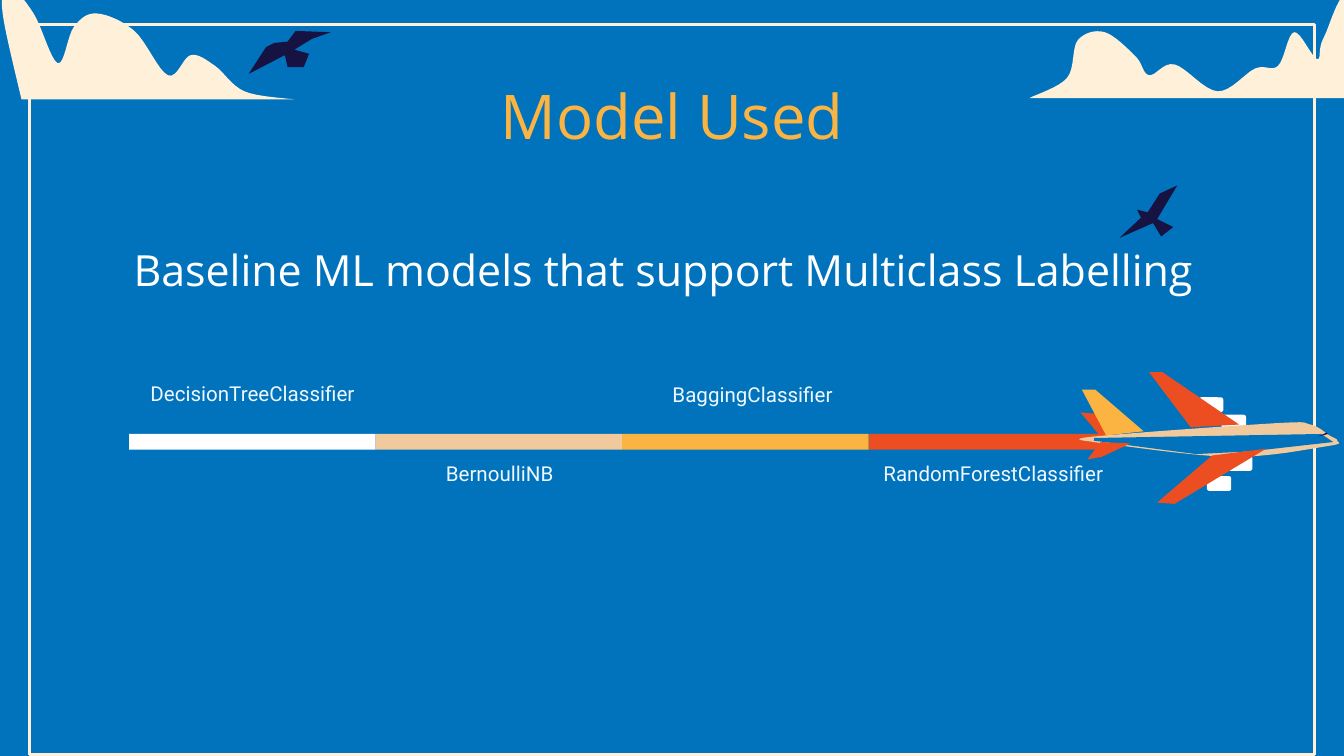
from math import cos, radians, sin

from pptx import Presentation
from pptx.dml.color import RGBColor
from pptx.enum.shapes import MSO_SHAPE
from pptx.enum.text import MSO_ANCHOR, PP_ALIGN
from pptx.util import Cm, Pt

RECTANGLE = MSO_SHAPE.RECTANGLE
ROUNDED = MSO_SHAPE.ROUNDED_RECTANGLE
MIDDLE = MSO_ANCHOR.MIDDLE
CENTER = PP_ALIGN.CENTER

COLORS = {
    "sky": "0173BC", "cream": "FFF1D9", "navy": "161342", "amber": "FBB442",
    "white": "FFFFFF", "sand": "F0C99C", "red": "EC4E21", "pale": "EFF8FF",
}
CM_PER_UNIT = 2.54
CURVE_STEPS = 8
PLANE_TILT = 14.7
BAR_LEFT, BAR_TOP, BAR_WIDTH, BAR_HEIGHT = 2.44, 8.2, 4.66, 0.3

RIGHT_CLOUD = [
    (7.66, 0.73), (7.94, 0.58), (8.02, 0.3), (8.22, 0.24), (8.45, 0.42), (8.55, 0.56),
    (8.74, 0.48), (9.06, 0.68), (9.34, 0.51), (9.51, 0.49), (9.63, 0.24), (9.8, 0.44),
    (9.85, 0.28), (10.1, -0.1), (10.67, 0.35), (11.63, 0.73),
]
LEFT_CLOUD = [
    (0.16, 0.74), (0.02, 0.1), (0.06, -0.11), (0.25, 0.1), (0.43, 0.47), (0.55, 0.2),
    (0.72, 0.1), (1, 0.23), (1.25, 0.56), (1.42, 0.41), (1.6, 0.49), (1.82, 0.68),
    (2.19, 0.74),
]
LEFT_BIRD = [
    (2.46, 0.24), (2.2, 0.23), (2.14, 0.31), (2.04, 0.32), (1.98, 0.35), (1.85, 0.55),
    (2.12, 0.41), (2.14, 0.5), (2.26, 0.5), (2.3, 0.4), (2.19, 0.37), (2.32, 0.29),
]
RIGHT_BIRD = [
    (8.76, 1.38), (8.61, 1.63), (8.73, 1.69), (8.64, 1.76), (8.58, 1.66), (8.33, 1.77),
    (8.49, 1.62), (8.46, 1.56), (8.54, 1.58), (8.63, 1.44),
]
ENGINE_CENTERS = [(22.89, 7.65), (23.32, 7.98), (23.04, 9.14), (23.44, 8.76)]
PLANE_PARTS = [
    ("red", False, [(8.55, 2.77), (8.65, 2.77), (9.22, 3.16), (8.86, 3.18)]),
    ("red", False, [(8.04, 3.07), (8.16, 3.08), (8.28, 3.25), (8.19, 3.25)]),
    ("sand", True, [(8.13, 3.29), (8.13, 3.25), (9.49, 3.15), (9.75, 3.16), (9.89, 3.24),
                    (9.95, 3.28), (9.88, 3.32), (9.15, 3.4), (8.13, 3.29)]),
    ("amber", False, [(8.05, 2.9), (8.15, 2.9), (8.51, 3.21), (8.23, 3.24)]),
    ("sky", False, [(8.14, 3.28), (8.14, 3.26), (9.83, 3.23), (9.92, 3.29), (9.3, 3.36),
                    (8.9, 3.38)]),
    ("red", False, [(8.19, 3.29), (8.41, 3.3), (8.2, 3.4), (8.09, 3.42)]),
    ("red", False, [(8.61, 3.74), (9.02, 3.39), (9.42, 3.34), (8.74, 3.75)]),
    ("navy", False, [(9.81, 3.25), (9.87, 3.22), (9.88, 3.23)]),
]
MODEL_LABELS = [
    ("DecisionTreeClassifier", 2.44, 6.68, 4.67), ("BernoulliNB", 6.65, 8.2, 5.59),
    ("BaggingClassifier", 11.43, 6.71, 5.59), ("RandomForestClassifier", 15.98, 8.2, 5.59),
]


def color(name):
    return RGBColor.from_string(COLORS[name])


def paint(shape, fill):
    shape.shadow.inherit = False
    shape.fill.solid()
    shape.fill.fore_color.rgb = color(fill)
    shape.line.fill.background()


def smooth_through(points):
    padded = [points[0], *points, points[-1]]
    result = [points[0]]
    for before, start, end, after in zip(padded, padded[1:], padded[2:], padded[3:]):
        for step in range(1, CURVE_STEPS + 1):
            t = step / CURVE_STEPS
            result.append(tuple(
                b + t * ((c - a) + t * ((2 * a - 5 * b + 4 * c - d)
                                        + t * (3 * b - a - 3 * c + d))) / 2
                for a, b, c, d in zip(before, start, end, after)))
    return result


def rotate(point, degrees, pivot=(0, 0)):
    angle = radians(degrees)
    x, y = point[0] - pivot[0], point[1] - pivot[1]
    return (pivot[0] + x * cos(angle) - y * sin(angle),
            pivot[1] + x * sin(angle) + y * cos(angle))


def straighten(points, tilt):
    level = [rotate(point, -tilt) for point in points]
    middle = [(min(values) + max(values)) / 2 for values in zip(*level)]
    pivot = rotate(middle, tilt)
    return [rotate(point, -tilt, pivot) for point in points]


def add_outline(shapes, points, fill, smooth=False, tilt=0):
    outline = smooth_through(points) if smooth else points
    corners = [(Cm(x * CM_PER_UNIT), Cm(y * CM_PER_UNIT))
               for x, y in straighten(outline, tilt)]
    builder = shapes.build_freeform(*corners[0])
    builder.add_line_segments(corners[1:], close=True)
    shape = builder.convert_to_shape()
    shape.rotation = tilt
    paint(shape, fill)


def add_box(shapes, kind, left, top, width, height, fill):
    shape = shapes.add_shape(kind, Cm(left), Cm(top), Cm(width), Cm(height))
    paint(shape, fill)
    return shape


def add_border(slide):
    border = add_box(slide.shapes, RECTANGLE, 0.56, 0.46, 24.28, 13.81, "sky")
    border.fill.background()
    border.line.color.rgb = color("cream")
    border.line.width = Pt(1.5)


def add_plane(slide):
    plane = slide.shapes.add_group_shape()
    width, height = 0.46, 0.28
    for x, y in ENGINE_CENTERS:
        add_box(plane.shapes, ROUNDED, x - width / 2, y - height / 2, width, height, "white")
    for fill, smooth, points in PLANE_PARTS:
        add_outline(plane.shapes, points, fill, smooth, PLANE_TILT)


def add_text(slide, text, left, top, width, height, size, font_name, font_color):
    frame = slide.shapes.add_textbox(Cm(left), Cm(top), Cm(width), Cm(height)).text_frame
    frame.word_wrap = True
    frame.vertical_anchor = MIDDLE
    frame.margin_left = frame.margin_right = Cm(0.25)
    frame.margin_top = frame.margin_bottom = Cm(0.25)
    paragraph = frame.paragraphs[0]
    paragraph.alignment = CENTER
    run = paragraph.add_run()
    run.text = text
    run.font.size = Pt(size)
    run.font.name = font_name
    run.font.color.rgb = color(font_color)


def main():
    presentation = Presentation()
    presentation.slide_width, presentation.slide_height = Cm(25.4), Cm(14.29)
    slide = presentation.slides.add_slide(presentation.slide_layouts[6])
    slide.background.fill.solid()
    slide.background.fill.fore_color.rgb = color("sky")
    add_border(slide)
    for cloud in (RIGHT_CLOUD, LEFT_CLOUD):
        add_outline(slide.shapes, cloud, "cream", smooth=True)
    for bird in (LEFT_BIRD, RIGHT_BIRD):
        add_outline(slide.shapes, bird, "navy")
    add_text(slide, "Model Used", 3.84, 1.5, 17.73, 1.35, 33, "Open Sans", "amber")
    add_text(slide, "Baseline ML models that support Multiclass Labelling",
             1.24, 4.5, 22.63, 1.17, 23, "Open Sans", "white")
    for index, fill in enumerate(("white", "sand", "amber", "red")):
        add_box(slide.shapes, RECTANGLE, BAR_LEFT + index * BAR_WIDTH, BAR_TOP,
                BAR_WIDTH, BAR_HEIGHT, fill)
    for text, left, top, width in MODEL_LABELS:
        add_text(slide, text, left, top, width, 1.5, 11, "Roboto", "pale")
    add_plane(slide)
    presentation.save("out.pptx")


if __name__ == "__main__":
    main()
